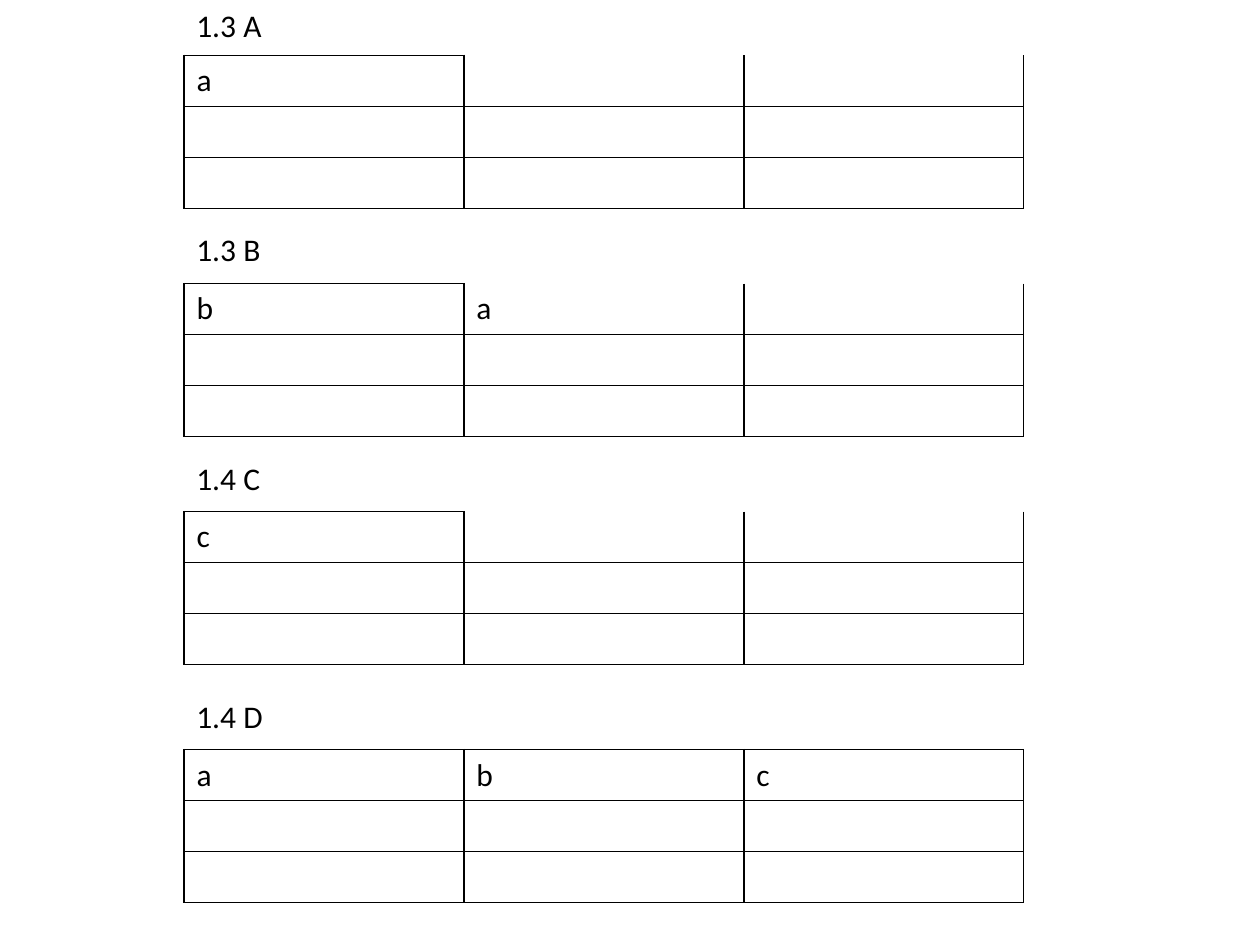
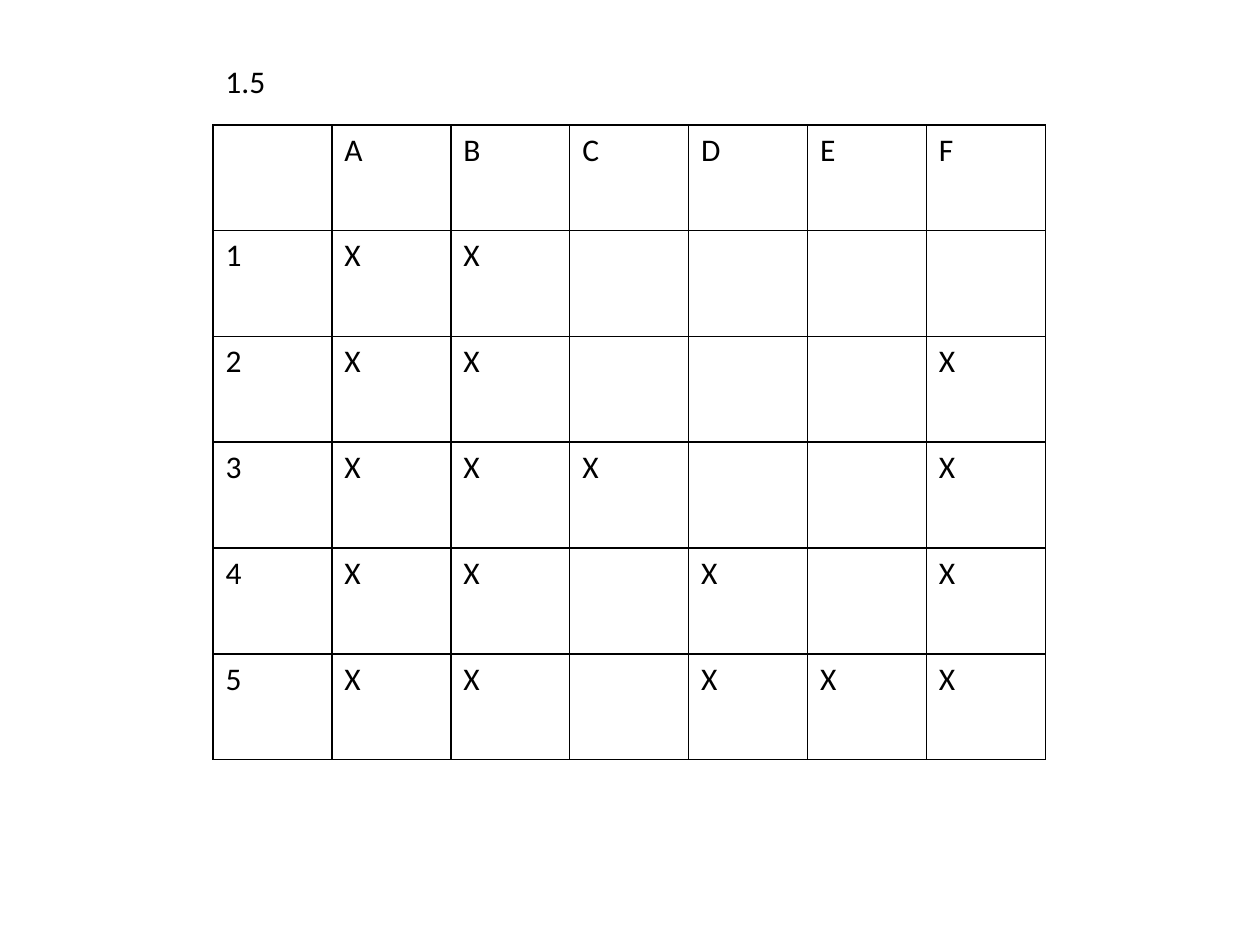
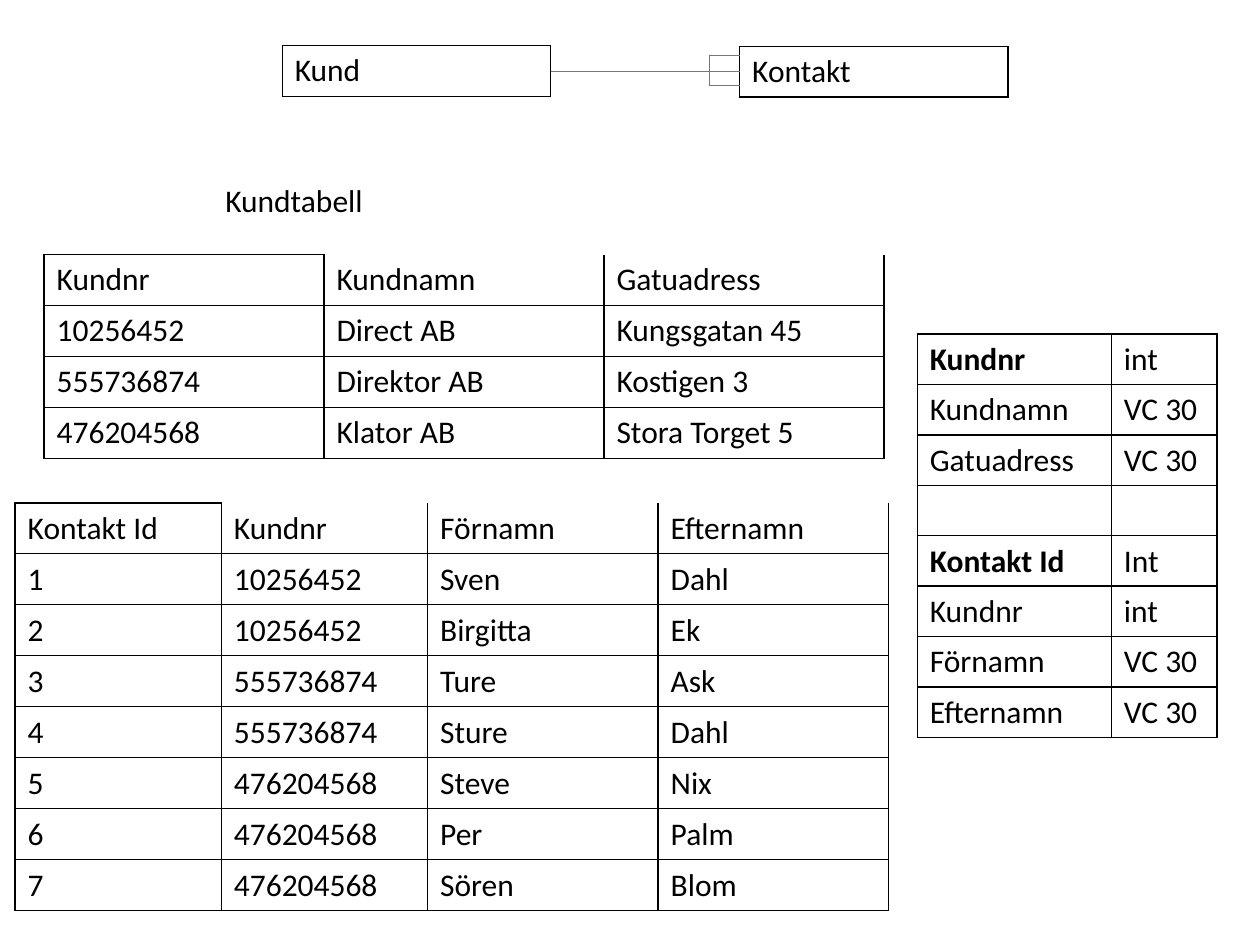
"""Build three slides of data model tables on a grid of 100 columns and 75 rows."""
import pptx
import pptx.dml.color
import pptx.enum.shapes
import pptx.enum.text
import pptx.oxml
import pptx.oxml.ns
import pptx.util

COLS, ROWS = 100, 75
FONT, SIZE = "Calibri", 18
INK, LINK = "000000", "4B7EBC"


def tint(code):
    """Turn a hex string into a colour."""
    return pptx.dml.color.RGBColor.from_string(code)


def put(frame, text, size=SIZE, color=INK, bold=False):
    """Write formatted text into a text frame."""
    run = frame.paragraphs[0].add_run()
    run.text = text
    run.font.name = FONT
    run.font.size = pptx.util.Pt(size)
    run.font.bold = bold
    run.font.color.rgb = tint(color)


def edge(cell, side, shown=True):
    """Draw or hide one border of a table cell."""
    fill = f'<a:solidFill><a:srgbClr val="{INK}"/></a:solidFill>' if shown else "<a:noFill/>"
    xml = f'<a:ln{side} {pptx.oxml.ns.nsdecls("a")} w="{pptx.util.Pt(1)}">{fill}</a:ln{side}>'
    cell._tc.get_or_add_tcPr().append(pptx.oxml.parse_xml(xml))


class Deck:
    """Hold the presentation, its grid and the current slide."""

    def __init__(self):
        """Start a deck of 10 by 7.5 inches."""
        self.show = pptx.Presentation()
        self.show.slide_width = pptx.util.Inches(10)
        self.show.slide_height = pptx.util.Inches(7.5)

    def page(self):
        """Add a blank slide."""
        self.slide = self.show.slides.add_slide(self.show.slide_layouts[6])

    def x(self, col):
        """Convert grid columns to a length."""
        return round(self.show.slide_width * col / COLS)

    def y(self, row):
        """Convert grid rows to a length."""
        return round(self.show.slide_height * row / ROWS)

    def label(self, text, left, top, wide=22):
        """Add a caption."""
        box = self.slide.shapes.add_textbox(self.x(left), self.y(top), self.x(wide), self.y(4))
        frame = box.text_frame
        frame.word_wrap = True
        frame.auto_size = pptx.enum.text.MSO_AUTO_SIZE.SHAPE_TO_FIT_TEXT
        put(frame, text)

    def grid(self, data, left, top, widths, high=4.05, open_top=False, keys=()):
        """Add a ruled table; an open top rules only the first heading."""
        table = self.slide.shapes.add_table(
            len(data), len(widths), self.x(left), self.y(top),
            self.x(sum(widths)), self.y(high * len(data))).table
        table.first_row = table.horz_banding = False
        for col, wide in zip(table.columns, widths):
            col.width = self.x(wide)
        for r, line in enumerate(data):
            table.rows[r].height = self.y(high)
            for c, text in enumerate(line):
                cell = table.cell(r, c)
                for side in "LRTB":
                    edge(cell, side, not (open_top and side == "T" and r == 0 and c > 0))
                cell.fill.background()
                if text:
                    put(cell.text_frame, text, bold=c == 0 and r in keys)

    def line(self, start, end):
        """Join two grid points with a thin line."""
        link = self.slide.shapes.add_connector(
            pptx.enum.shapes.MSO_CONNECTOR.STRAIGHT,
            self.x(start[0]), self.y(start[1]), self.x(end[0]), self.y(end[1]))
        link.line.color.rgb = tint(LINK)
        link.line.width = pptx.util.Pt(0.75)
        link._element.spPr.append(
            pptx.oxml.parse_xml(f'<a:effectLst {pptx.oxml.ns.nsdecls("a")}/>'))


THIRDS = [22.22] * 3


def forms(deck):
    """Build the slide with four short tables."""
    deck.page()
    for title, top, body, heads, is_open in (
            ("1.3 A", 0, 4.4, ["a", "", ""], True),
            ("1.3 B", 17.8, 22.5, ["b", "a", ""], True),
            ("1.4 C", 35.9, 40.6, ["c", "", ""], True),
            ("1.4 D", 54.8, 59.5, ["a", "b", "c"], False)):
        deck.grid([heads] + [[""] * 3] * 2, 14.6, body, THIRDS, open_top=is_open)
        deck.label(title, 14.6, top)


def matrix(deck):
    """Build the slide with the cross table."""
    deck.page()
    heads = "ABCDEF"
    marks = ["AB", "ABF", "ABCF", "ABDF", "ABDEF"]
    data = [["", *heads]]
    for num, row in enumerate(marks, 1):
        data.append([str(num)] + ["X" if head in row else "" for head in heads])
    deck.grid(data, 16.9, 9.9, [9.44] * 7, high=8.4)
    deck.label("1.5", 16.9, 4.4, 20.5)


def model(deck):
    """Build the slide with the customer and contact model."""
    deck.page()
    deck.grid([
        ["Kundnr", "Kundnamn", "Gatuadress"],
        ["10256452", "Direct AB", "Kungsgatan 45"],
        ["555736874", "Direktor AB", "Kostigen 3"],
        ["476204568", "Klator AB", "Stora Torget 5"],
    ], 3.5, 20.2, THIRDS, open_top=True)

    deck.grid([["Kund"]], 22.4, 3.6, [21.3])
    deck.grid([["Kontakt"]], 58.7, 3.7, [21.3], high=4)
    near, far, high, low = 56.3, 58.7, 4.4, 6.8
    deck.line((43.7, 5.7), (far, 5.7))
    fork = [(far, high), (near, high), (near, low), (far, low)]
    for start, end in zip(fork, fork[1:]):
        deck.line(start, end)
    deck.label("Kundtabell", 16.9, 13.9)

    deck.grid([
        ["Kontakt Id", "Kundnr", "Förnamn", "Efternamn"],
        ["1", "10256452", "Sven", "Dahl"],
        ["2", "10256452", "Birgitta", "Ek"],
        ["3", "555736874", "Ture", "Ask"],
        ["4", "555736874", "Sture", "Dahl"],
        ["5", "476204568", "Steve", "Nix"],
        ["6", "476204568", "Per", "Palm"],
        ["7", "476204568", "Sören", "Blom"],
    ], 1.2, 39.9, [16.37, 16.37, 18.3, 18.3], open_top=True)

    deck.grid([
        ["Kundnr", "int"],
        ["Kundnamn", "VC 30"],
        ["Gatuadress", "VC 30"],
        ["", ""],
        ["Kontakt Id", "Int"],
        ["Kundnr", "int"],
        ["Förnamn", "VC 30"],
        ["Efternamn", "VC 30"],
    ], 72.8, 26.5, [15.4, 8.4], high=4, keys=(0, 4))


deck = Deck()
forms(deck)
matrix(deck)
model(deck)
deck.show.save("out.pptx")
